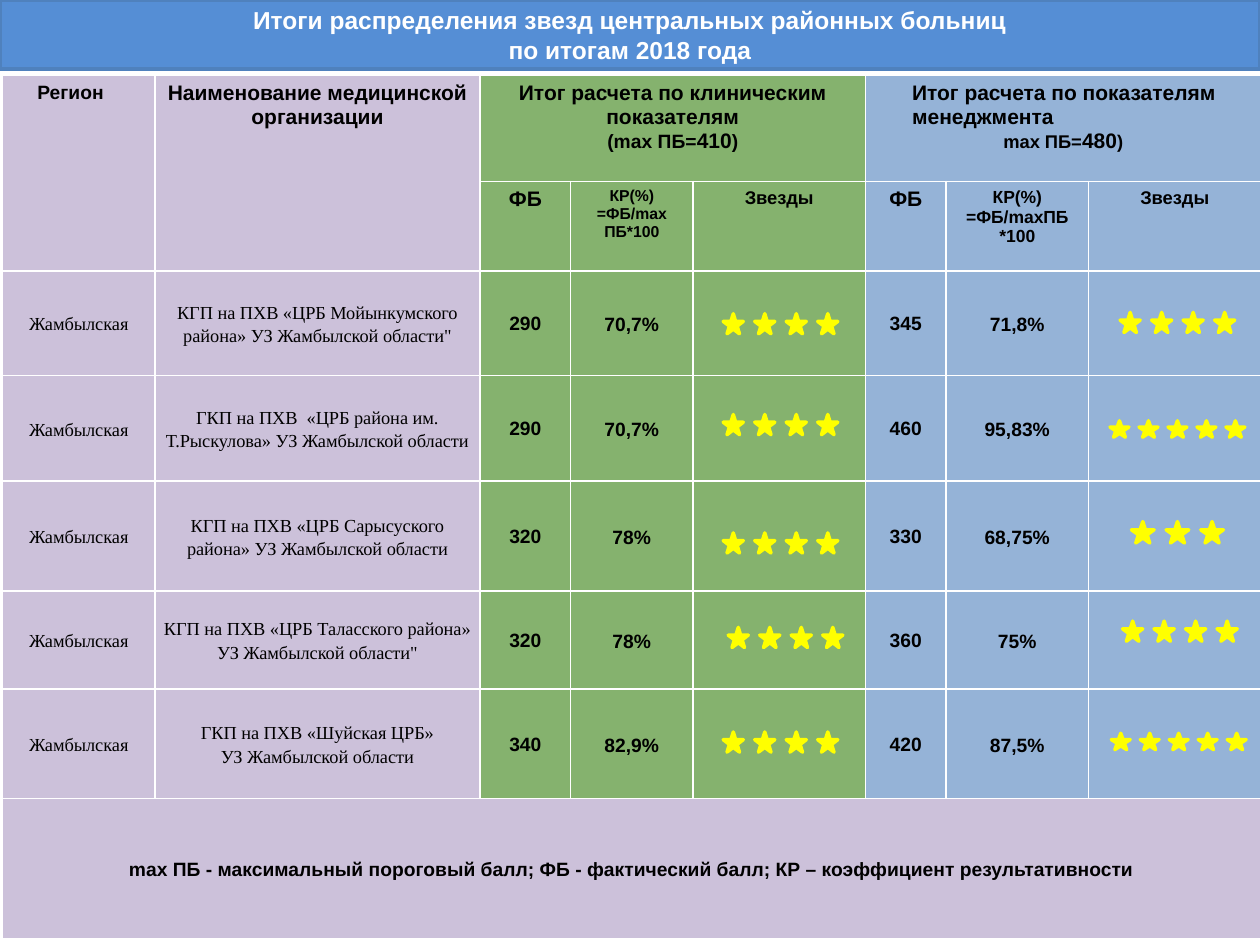
from dataclasses import dataclass

from lxml import etree
from pptx import Presentation
from pptx.dml.color import RGBColor
from pptx.enum import shapes, text
from pptx.oxml import ns
from pptx.util import Inches, Pt

LILAC, GREEN, BLUE = "CCC1DA", "85B26E", "95B3D7"
WHITE, BLACK, YELLOW = "FFFFFF", "000000", "FFFF00"
COLS = [1.21, 2.58, 0.72, 0.97, 1.37, 0.64, 1.13, 1.37]
ROWS = [0.84, 0.71, 0.83, 0.84, 0.87, 0.78, 0.87, 1.11]
FILLS = [LILAC] * 2 + [GREEN] * 3 + [BLUE] * 3
SPANS = [(0, 0, 1, 0), (0, 1, 1, 1), (0, 2, 0, 4), (0, 5, 0, 7), (7, 0, 7, 7)]


@dataclass
class Style:
    size: float
    font: str = "Arial"
    bold: bool = True
    space: float | None = None
    pads: tuple | None = None  # left, top, right, bottom


@dataclass
class Head:
    row: int
    col: int
    lines: list  # each line is a list of (text, size) runs


@dataclass
class Clinic:
    name: str
    marks: list
    rates: list


@dataclass
class Stars:
    left: float
    top: float
    count: int


SNUG = (0.07, 0, 0.07, 0)
NAME = Style(10.5, "Times New Roman", False, 1.15, SNUG)
MARK = Style(11, pads=(0.01, 0.01, 0.01, 0))
RATE = Style(11, space=1.15, pads=SNUG)

HEADS = [
    Head(0, 0, [[("Регион", 11)]]),
    Head(0, 1, [[("Наименование медицинской организации", 12)]]),
    Head(0, 2, [[("Итог расчета по клиническим показателям", 12)],
                [("(mах ПБ=", 11), ("410", 12), (")", 11)]]),
    Head(0, 5, [[("Итог расчета по показателям менеджмента", 12)],
                [("mах ПБ=", 10.5), ("480", 12), (")", 10.5)]]),
    Head(1, 2, [[("ФБ", 12)]]),
    Head(1, 3, [[("КР(%)", 9)], [("=ФБ/mах ПБ*100", 9)]]),
    Head(1, 4, [[("Звезды", 10.5)]]),
    Head(1, 5, [[("ФБ", 12)]]),
    Head(1, 6, [[("КР(%)", 10)], [("=ФБ/mахПБ *100", 10)]]),
    Head(1, 7, [[("Звезды", 10.5)]]),
]
CLINICS = [
    Clinic("КГП на ПХВ «ЦРБ Мойынкумского района» УЗ Жамбылской области\"",
           ["290", "345"], ["70,7%", "71,8%"]),
    Clinic("ГКП на ПХВ  «ЦРБ района им. Т.Рыскулова» УЗ Жамбылской области",
           ["290", "460"], ["70,7%", "95,83%"]),
    Clinic("КГП на ПХВ «ЦРБ Сарысуского района» УЗ Жамбылской области",
           ["320", "330"], ["78%", "68,75%"]),
    Clinic("КГП на ПХВ «ЦРБ Таласского района» УЗ Жамбылской области\"",
           ["320", "360"], ["78%", "75%"]),
    Clinic("ГКП на ПХВ «Шуйская ЦРБ»\nУЗ Жамбылской области",
           ["340", "420"], ["82,9%", "87,5%"]),
]
STARS = [
    Stars(5.74, 2.49, 4), Stars(8.89, 2.48, 4),
    Stars(5.74, 3.29, 4), Stars(8.81, 3.34, 5),
    Stars(5.74, 4.23, 4), Stars(8.98, 4.14, 3),
    Stars(5.78, 4.98, 4), Stars(8.91, 4.93, 4),
    Stars(5.74, 5.81, 4), Stars(8.82, 5.82, 5),
]
# Star width, height and step by the number of stars in a row
SIZES = {3: (0.18, 0.17, 0.275), 4: (0.16, 0.16, 0.25), 5: (0.15, 0.13, 0.23)}


def color(code: str) -> RGBColor:
    return RGBColor.from_string(code)


def paint(shape, fill: str, line: str) -> None:
    shape.shadow.inherit = False
    shape.fill.solid()
    shape.fill.fore_color.rgb = color(fill)
    shape.line.color.rgb = color(line)
    shape.line.width = Pt(2)


def ink(run, size: float, style: Style, code: str = BLACK) -> None:
    run.font.size = Pt(size)
    run.font.name = style.font
    run.font.bold = style.bold
    run.font.color.rgb = color(code)


def edge(cell) -> None:
    """Draw white one-point borders; they must come before the cell fill."""
    props = cell._tc.get_or_add_tcPr()
    for tag in ("a:lnL", "a:lnR", "a:lnT", "a:lnB"):
        line = etree.SubElement(props, ns.qn(tag), w=str(Pt(1)))
        fill = etree.SubElement(line, ns.qn("a:solidFill"))
        etree.SubElement(fill, ns.qn("a:srgbClr"), val=WHITE)


def write(cell, words: str, style: Style) -> None:
    cell.text_frame.text = words
    cell.vertical_anchor = text.MSO_ANCHOR.MIDDLE
    (cell.margin_left, cell.margin_top,
     cell.margin_right, cell.margin_bottom) = map(Inches, style.pads)
    for para in cell.text_frame.paragraphs:
        para.alignment = text.PP_ALIGN.CENTER
        para.line_spacing = style.space
        for run in para.runs:
            ink(run, style.size, style)


def label(cell, head: Head) -> None:
    frame = cell.text_frame
    for i, line in enumerate(head.lines):
        para = frame.add_paragraph() if i else frame.paragraphs[0]
        para.alignment = text.PP_ALIGN.CENTER
        for words, size in line:
            run = para.add_run()
            run.text = words
            ink(run, size, Style(size))


def title(slide) -> None:
    bar = slide.shapes.add_shape(shapes.MSO_SHAPE.RECTANGLE, 0, 0,
                                 Inches(10), Inches(0.55))
    paint(bar, "558ED5", "4F81BD")
    frame = bar.text_frame
    frame.word_wrap = True
    frame.vertical_anchor = text.MSO_ANCHOR.MIDDLE
    frame.text = ("Итоги распределения звезд центральных районных больниц\v"
                  "по итогам 2018 года")
    para = frame.paragraphs[0]
    para.alignment = text.PP_ALIGN.CENTER
    for run in para.runs:
        ink(run, 14, Style(14), WHITE)


def chart(slide) -> None:
    """Build the table of clinics."""
    grid = slide.shapes.add_table(len(ROWS), len(COLS), Inches(0.02), Inches(0.6),
                                  Inches(sum(COLS)), Inches(sum(ROWS))).table
    for col, width in zip(grid.columns, COLS):
        col.width = Inches(width)
    for r, high in enumerate(ROWS):
        grid.rows[r].height = Inches(high)
        for c, fill in enumerate(FILLS):
            cell = grid.cell(r, c)
            edge(cell)
            cell.fill.solid()
            cell.fill.fore_color.rgb = color(LILAC if r == 7 else fill)
    for top, left, low, right in SPANS:
        grid.cell(top, left).merge(grid.cell(low, right))

    for head in HEADS:
        label(grid.cell(head.row, head.col), head)
    grid.cell(0, 0).margin_right = Inches(0.23)
    lead = grid.cell(0, 5).text_frame.paragraphs[0]
    lead.alignment = text.PP_ALIGN.LEFT
    lead._p.get_or_add_pPr().set("marL", str(Inches(0.27)))

    for r, clinic in enumerate(CLINICS, 2):
        write(grid.cell(r, 0), "Жамбылская", NAME)
        write(grid.cell(r, 1), clinic.name, NAME)
        for c, mark, rate in zip((2, 5), clinic.marks, clinic.rates):
            write(grid.cell(r, c), mark, MARK)
            write(grid.cell(r, c + 1), rate, RATE)
    write(grid.cell(7, 0), "mах ПБ - максимальный пороговый балл; ФБ - фактический "
          "балл; КР – коэффициент результативности", RATE)


def rank(slide, stars: Stars) -> None:
    wide, high, step = SIZES[stars.count]
    group = slide.shapes.add_group_shape()
    for i in range(stars.count):
        star = group.shapes.add_shape(
            shapes.MSO_SHAPE.STAR_5_POINT, Inches(stars.left + i * step),
            Inches(stars.top), Inches(wide), Inches(high))
        paint(star, YELLOW, YELLOW)


def main() -> None:
    deck = Presentation()
    deck.slide_width, deck.slide_height = Inches(10), Inches(7.5)
    slide = deck.slides.add_slide(deck.slide_layouts[6])
    title(slide)
    chart(slide)
    for stars in STARS:
        rank(slide, stars)
    deck.save("out.pptx")


if __name__ == "__main__":
    main()
